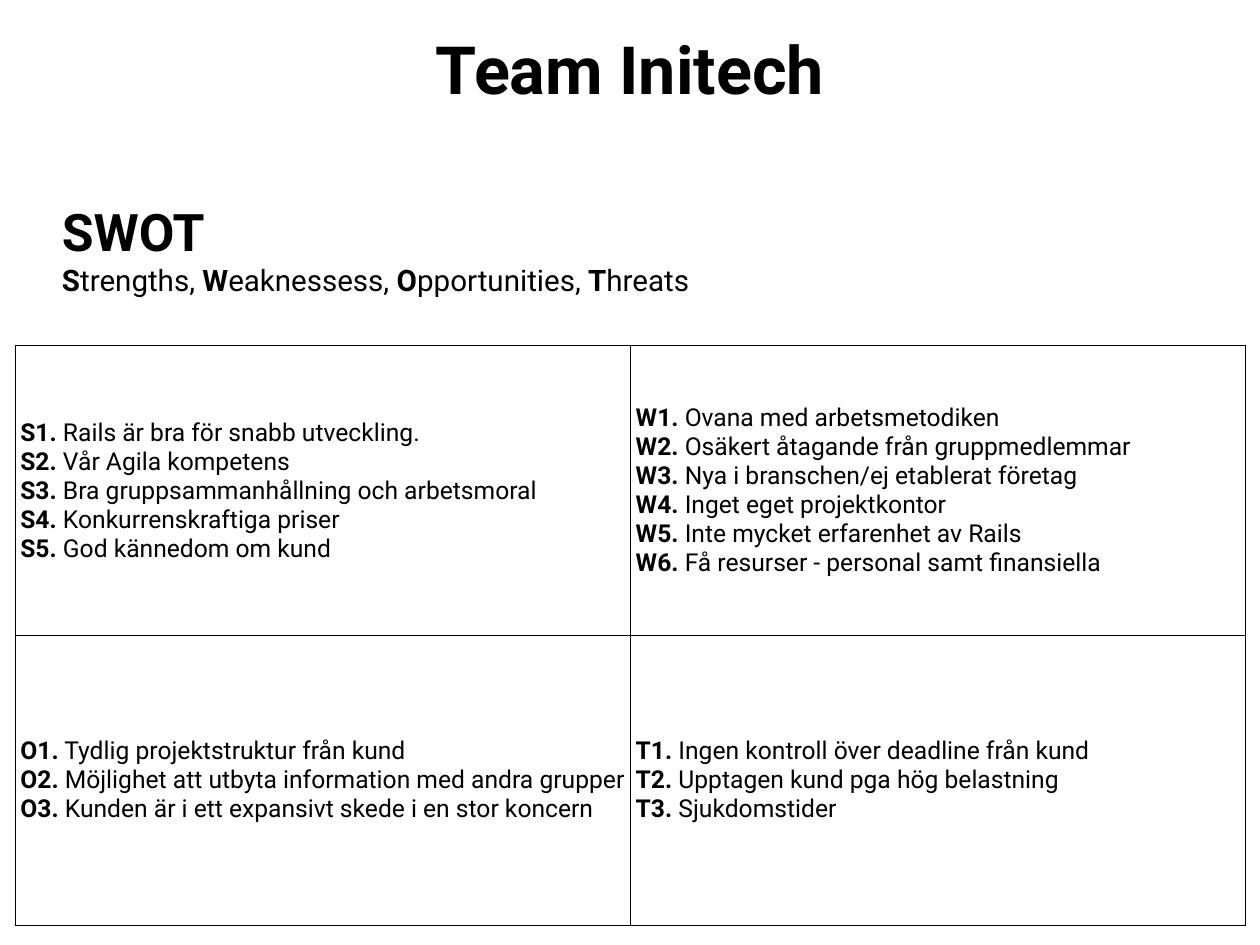
from dataclasses import dataclass
from lxml.etree import SubElement
from pptx import Presentation
from pptx.dml.color import RGBColor
from pptx.enum.text import MSO_ANCHOR, MSO_AUTO_SIZE, PP_ALIGN
from pptx.oxml.ns import qn
from pptx.util import Inches, Pt


@dataclass
class Theme:
    font: str = "Roboto"
    ink: str = "000000"
    title: int = 54
    head: int = 42
    sub: int = 24
    body: int = 20
    rule: float = 0.96


theme = Theme()


def put(par, text, size, bold):
    run = par.add_run()
    run.text = text
    form = {"name": theme.font, "size": Pt(size), "bold": bold}
    for key, value in form.items():
        setattr(run.font, key, value)
    run.font.color.rgb = RGBColor.from_string(theme.ink)


def setup(item, pad_x, pad_y):
    form = {
        "vertical_anchor": MSO_ANCHOR.MIDDLE,
        "margin_left": Inches(pad_x), "margin_right": Inches(pad_x),
        "margin_top": Inches(pad_y), "margin_bottom": Inches(pad_y),
    }
    for key, value in form.items():
        setattr(item, key, value)


# Slide
deck = Presentation()
deck.slide_width, deck.slide_height = Inches(14.22), Inches(10.66)
slide = deck.slides.add_slide(deck.slide_layouts[5])

# Title
title = slide.shapes.title
place = {"left": 1.39, "top": 0.06, "width": 11.44, "height": 1.42}
for key, value in place.items():
    setattr(title, key, Inches(value))
frame = title.text_frame
setup(frame, 0.06, 0.06)
frame.word_wrap = True
frame.auto_size = MSO_AUTO_SIZE.NONE
par = frame.paragraphs[0]
par.alignment = PP_ALIGN.CENTER
put(par, "Team Initech", theme.title, True)

# SWOT heading, with the first letter of each word in bold
box = slide.shapes.add_textbox(Inches(0.7), Inches(2.25), Inches(7.17), Inches(1.1))
frame = box.text_frame
setup(frame, 0, 0)
frame.word_wrap = False
frame.auto_size = MSO_AUTO_SIZE.SHAPE_TO_FIT_TEXT
put(frame.paragraphs[0], "SWOT", theme.head, True)
par = frame.add_paragraph()
for word in ("Strengths, ", "Weaknessess, ", "Opportunities, ", "Threats"):
    put(par, word[0], theme.sub, True)
    put(par, word[1:], theme.sub, False)

# SWOT grid
lists = {
    "S": ["Rails är bra för snabb utveckling.",
          "Vår Agila kompetens",
          "Bra gruppsammanhållning och arbetsmoral",
          "Konkurrenskraftiga priser",
          "God kännedom om kund"],
    "W": ["Ovana med arbetsmetodiken",
          "Osäkert åtagande från gruppmedlemmar",
          "Nya i branschen/ej etablerat företag",
          "Inget eget projektkontor",
          "Inte mycket erfarenhet av Rails",
          "Få resurser - personal samt finansiella"],
    "O": ["Tydlig projektstruktur från kund",
          "Möjlighet att utbyta information med andra grupper",
          "Kunden är i ett expansivt skede i en stor koncern"],
    "T": ["Ingen kontroll över deadline från kund",
          "Upptagen kund pga hög belastning",
          "Sjukdomstider"],
}
cols = rows = 2
grid = slide.shapes.add_table(
    rows, cols, Inches(0.17), Inches(3.9), Inches(13.89), Inches(6.54)).table
grid.first_row = grid.horz_banding = False

for spot, (mark, items) in enumerate(lists.items()):
    cell = grid.cell(spot // cols, spot % cols)
    setup(cell, 0.06, 0.05)

    # Borders come before the fill in the cell's XML
    props = cell._tc.get_or_add_tcPr()
    for side in ("lnL", "lnR", "lnT", "lnB"):
        line = SubElement(props, qn(f"a:{side}"), w=str(Pt(theme.rule)))
        fill = SubElement(line, qn("a:solidFill"))
        SubElement(fill, qn("a:srgbClr"), val=theme.ink)
    cell.fill.background()

    # Numbered points
    par = cell.text_frame.paragraphs[0]
    for count, item in enumerate(items, 1):
        if count > 1:
            par.add_line_break()
        put(par, f"{mark}{count}.", theme.body, True)
        put(par, f" {item}", theme.body, False)

deck.save("out.pptx")
